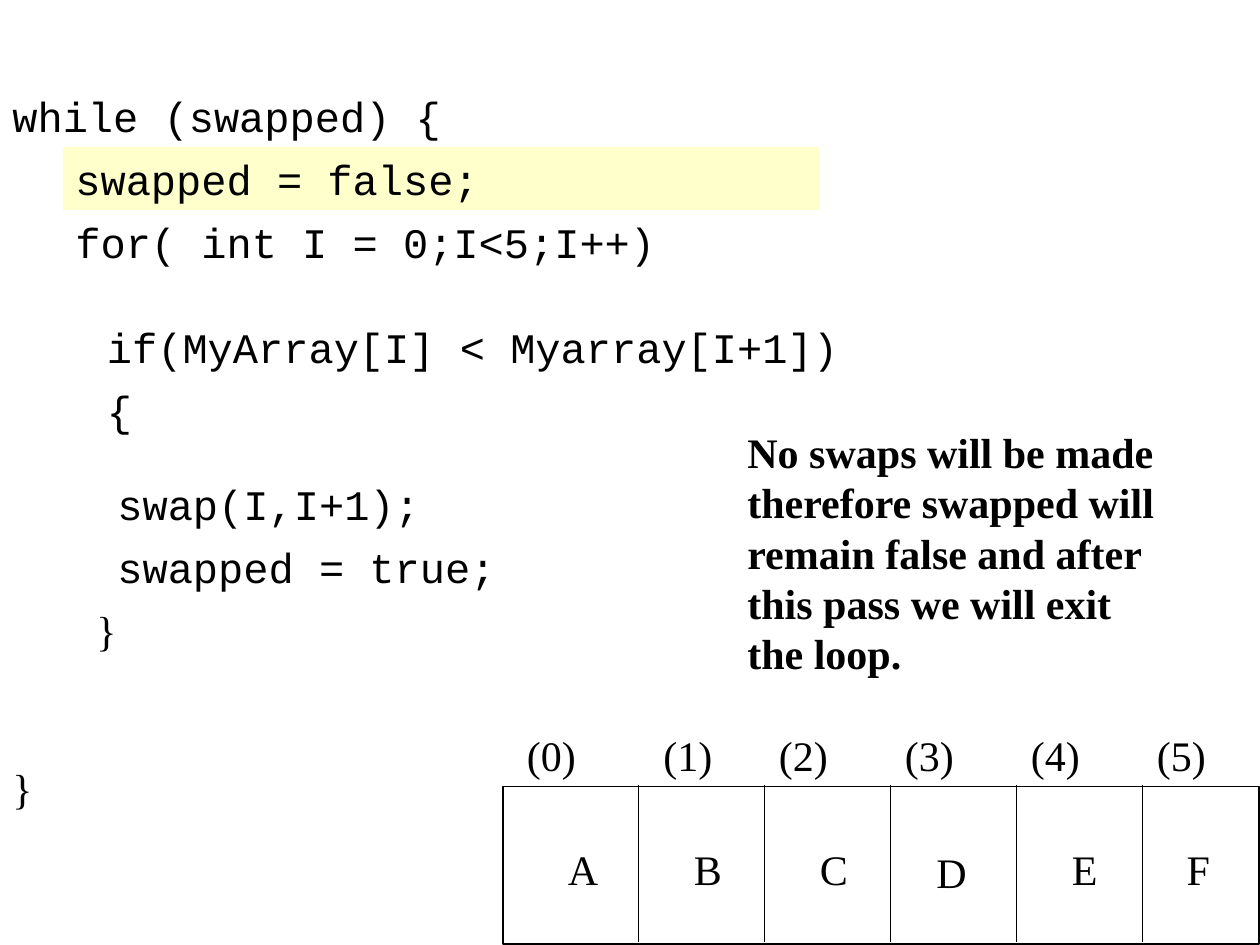
from lxml.etree import SubElement
from pptx import Presentation
from pptx.dml.color import RGBColor
from pptx.enum.shapes import MSO_CONNECTOR as CONN, MSO_SHAPE as SHAPE
from pptx.enum.text import MSO_ANCHOR, PP_ALIGN
from pptx.oxml.ns import qn
from pptx.util import Pt

BLACK = RGBColor(0, 0, 0)
HIGHLIGHT = RGBColor(0xFF, 0xFF, 0xCC)
MONO = "Courier New"
SERIF = "Times New Roman"
LINE_H = 36
COL_W = 72


def write(sp, text, font=SERIF, bold=False):
    """Fill a shape with one left-aligned paragraph."""
    tf = sp.text_frame
    tf.word_wrap = True
    tf.vertical_anchor = MSO_ANCHOR.TOP
    p = tf.paragraphs[0]
    p.text = text
    p.alignment = PP_ALIGN.LEFT
    p.font.name, p.font.size, p.font.bold = font, Pt(24), bold
    p.font.color.rgb = BLACK


def add_text(s, x, y, w, h, text, font=SERIF, bold=False):
    """Add a text box."""
    write(s.shapes.add_textbox(Pt(x), Pt(y), Pt(w), Pt(h)), text, font, bold)


def add_box(s, x, y, w, h):
    """Add a rectangle without a shadow."""
    sp = s.shapes.add_shape(SHAPE.RECTANGLE, Pt(x), Pt(y), Pt(w), Pt(h))
    sp.shadow.inherit = False
    return sp


def draw_code(s, x, y):
    """Place the code listing, with the current statement highlighted."""
    current = add_box(s, x + 36, y + LINE_H, 432, LINE_H)
    current.fill.solid()
    current.fill.fore_color.rgb = HIGHLIGHT
    current.line.fill.background()
    write(current, "swapped = false;", MONO)
    lines = [
        (0, 0, 426, "while (swapped) {", MONO),
        (36, 72, 504, "for( int I = 0;I<5;I++)", MONO),
        (54, 132, 564, "if(MyArray[I] < Myarray[I+1])", MONO),
        (54, 168, 42, "{", MONO),
        (60, 222, 618, "swap(I,I+1);", MONO),
        (60, 258, 246, "swapped = true;", MONO),
        (48, 294, 78, "}", SERIF),
        (0, 384, 96, "}", SERIF),
    ]
    for dx, dy, w, text, font in lines:
        add_text(s, x + dx, y + dy, w, LINE_H, text, font)


def draw_array(s, x, y, w, h):
    """Place the array cells with their indices and values."""
    frame = add_box(s, x, y, w, h)
    frame.fill.background()
    frame.line.color.rgb = BLACK
    frame.line.width = Pt(0.75)
    cells = [("A", 24.5, 29, 1), ("B", 24.5, 29, 7), ("C", 24.5, 29, 1),
             ("D", 19, 30.5, 1), ("E", 24.5, 29, 1), ("F", 18, 29, 1)]
    for i, (value, dx, dy, index_dx) in enumerate(cells):
        left = x + 5.5 + i * COL_W
        if i:
            line = s.shapes.add_connector(
                CONN.STRAIGHT, Pt(left), Pt(y - 1), Pt(left), Pt(y + h - 1))
            line.line.color.rgb = BLACK
            line.line.width = Pt(0.75)
            SubElement(line._element.spPr, qn("a:effectLst"))
        add_text(s, left + dx, y + dy, 36, LINE_H, value)
        add_text(s, left + index_dx, y - 36, 54, LINE_H, f"({i})")


def main():
    """Build the slide."""
    prs = Presentation()
    prs.slide_width, prs.slide_height = Pt(720), Pt(540)
    s = prs.slides.add_slide(prs.slide_layouts[6])
    draw_code(s, 0, 48)
    draw_array(s, 287.5, 449.5, 432, 90)
    add_text(s, 420, 240, 258, 151,
             "No swaps will be made therefore swapped will remain false "
             "and after this pass we will exit the loop.", bold=True)
    prs.save("out.pptx")


if __name__ == "__main__":
    main()
